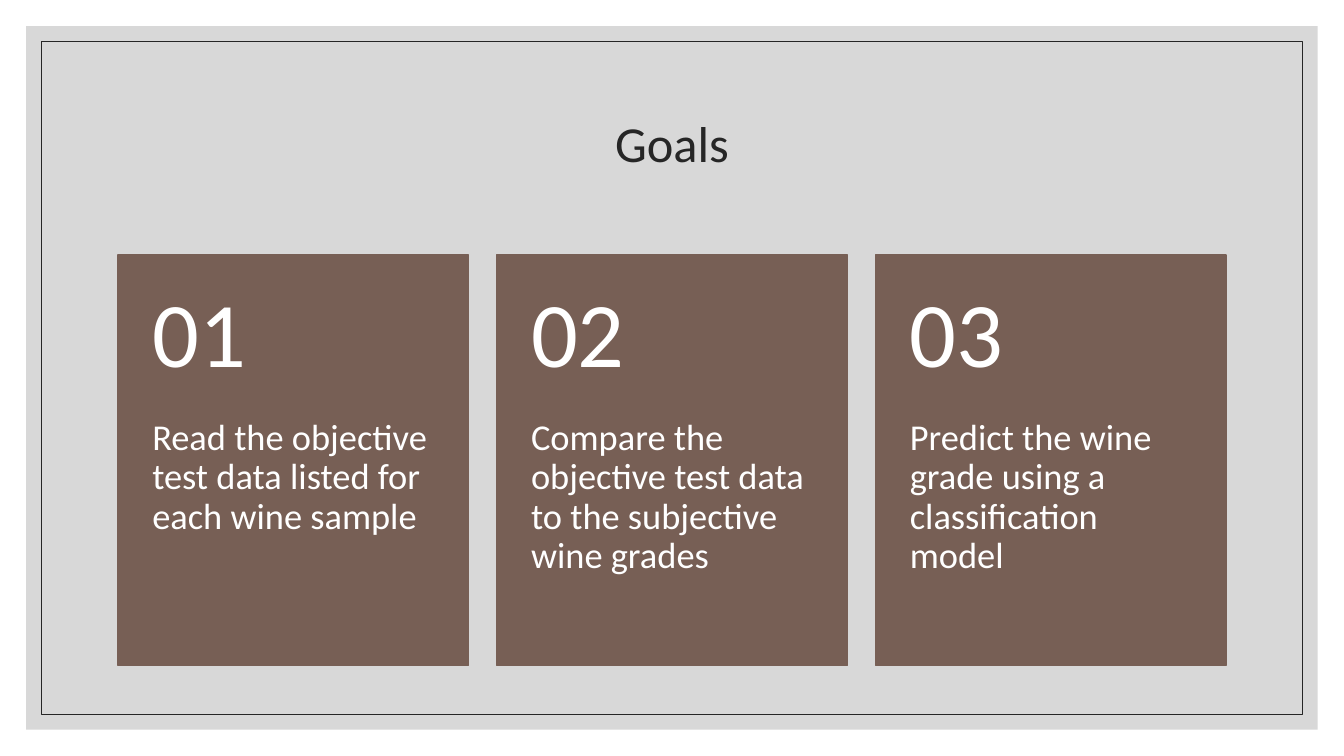
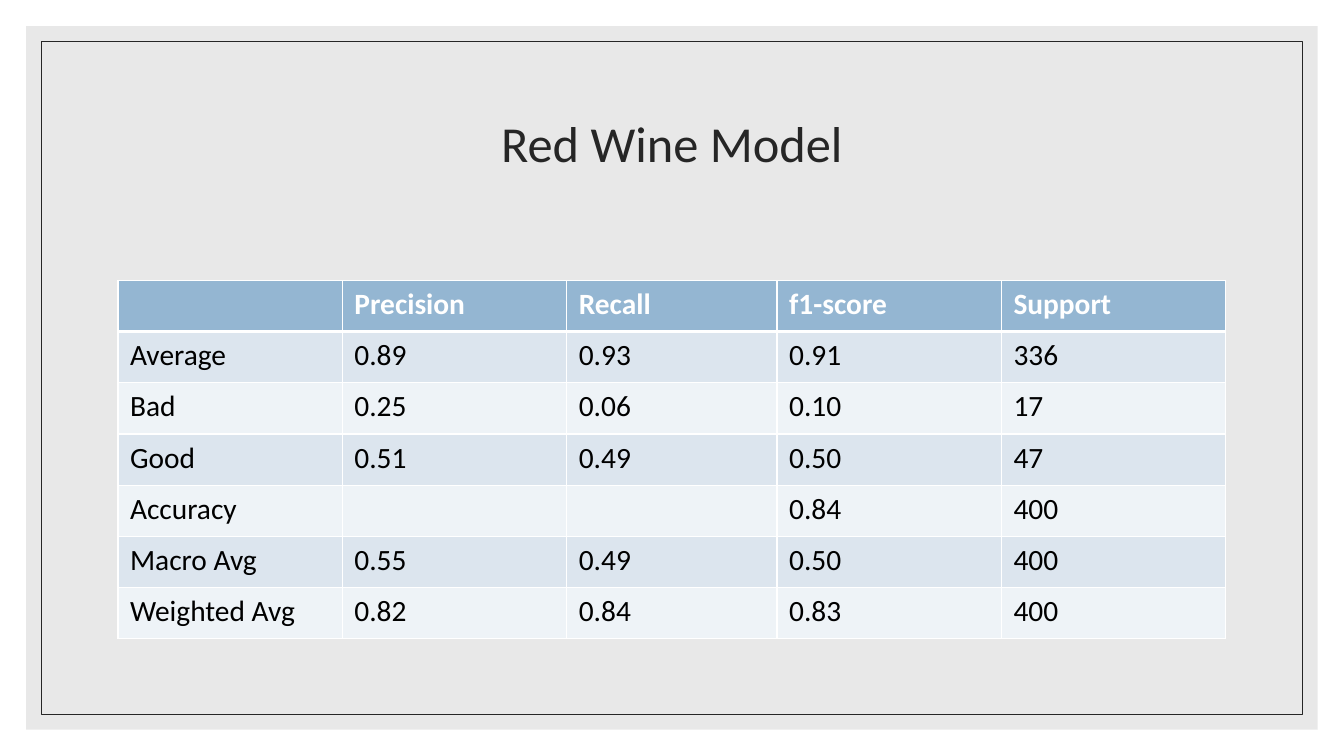
from lxml.etree import SubElement
from pptx import Presentation
from pptx.dml.color import RGBColor
from pptx.enum.shapes import MSO_SHAPE as SHAPE
from pptx.enum.text import MSO_ANCHOR as ANCHOR, PP_ALIGN as ALIGN
from pptx.oxml.ns import qn
from pptx.util import Inches, Pt

W, H = 13.33, 7.5
FONT = "Calibri"
INK, WHITE, BLACK, BROWN = "262626", "FFFFFF", "000000", "775F55"
HEAD, BANDS = "94B6D2", ("DCE5EE", "EEF3F7")
MARGIN, GAP = 1.17, 0.28
CONTENT_W = W - 2 * MARGIN

GOALS = [
    "Read the objective test data listed for each wine sample",
    "Compare the objective test data to the subjective wine grades",
    "Predict the wine grade using a classification model",
]
SCORES = [
    ("", "Precision", "Recall", "f1-score", "Support"),
    ("Average", "0.89", "0.93", "0.91", "336"),
    ("Bad", "0.25", "0.06", "0.10", "17"),
    ("Good", "0.51", "0.49", "0.50", "47"),
    ("Accuracy", "", "", "0.84", "400"),
    ("Macro Avg", "0.55", "0.49", "0.50", "400"),
    ("Weighted Avg", "0.82", "0.84", "0.83", "400"),
]
COL_WEIGHTS = (2.23, 2.23, 2.09, 2.23, 2.23)


def rgb(value):
    return RGBColor.from_string(value)


def inches(*values):
    return [Inches(v) for v in values]


def set_insets(target, insets):
    (target.margin_left, target.margin_top,
     target.margin_right, target.margin_bottom) = inches(*insets)


def style_text(p, size, color, bold=False):
    p.font.size = Pt(size)
    for r in p.runs:
        r.font.name, r.font.size, r.font.bold = FONT, Pt(size), bold
        r.font.color.rgb = rgb(color)


def add_rect(shapes, box, fill=None, line=None, line_width=1, alpha=None):
    sp = shapes.add_shape(SHAPE.RECTANGLE, *inches(*box))
    sp.shadow.inherit = False
    if fill:
        sp.fill.solid()
        sp.fill.fore_color.rgb = rgb(fill)
    else:
        sp.fill.background()
    if alpha:
        clr = sp.fill._xPr.find(".//" + qn("a:srgbClr"))
        SubElement(clr, qn("a:alpha")).set("val", str(alpha * 1000))
    if line:
        sp.line.color.rgb = rgb(line)
        sp.line.width = Pt(line_width)
    else:
        sp.line.fill.background()


def add_text(shapes, box, text, size, color, insets=(0.1, 0.05, 0.1, 0.05),
             anchor=ANCHOR.MIDDLE, align=ALIGN.LEFT):
    tf = shapes.add_textbox(*inches(*box)).text_frame
    tf.word_wrap = True
    tf.vertical_anchor = anchor
    set_insets(tf, insets)
    tf.text = text
    p = tf.paragraphs[0]
    p.alignment, p.line_spacing = align, 0.9
    style_text(p, size, color)


def add_framed_slide(prs, title, tint):
    s = prs.slides.add_slide(prs.slide_layouts[6])
    for inset, style in (
        (0.26, {"fill": tint, "alpha": 60}),
        (0.41, {"line": INK, "line_width": 0.5}),
    ):
        add_rect(s.shapes, (inset, inset, W - 2 * inset, H - 2 * inset), **style)
    add_text(s.shapes, (MARGIN, 0.7, CONTENT_W, 1.5), title, 36, INK,
             align=ALIGN.CENTER)
    return s


def add_goal_card(s, box, number, goal):
    x, y, w, h = box
    head = h * 0.4
    shapes = s.shapes.add_group_shape().shapes
    add_rect(shapes, box, fill=BROWN, line=BROWN)
    add_text(shapes, (x, y + head, w, h - head), goal, 26, WHITE,
             (0.34, 0, 0.34, 0.36), ANCHOR.TOP)
    add_text(shapes, (x, y, w, head), f"{number:02}", 66, WHITE,
             (0.34, 0.18, 0.34, 0.18))


def add_goal_cards(s, box, goals):
    x, y, w, h = box
    card_w = (w - GAP * (len(goals) - 1)) / len(goals)
    for i, goal in enumerate(goals):
        add_goal_card(s, (x + i * (card_w + GAP), y, card_w, h), i + 1, goal)


def set_borders(cell, widths):
    tc_pr = cell._tc.get_or_add_tcPr()
    for i, (side, width) in enumerate(widths.items()):
        ln = tc_pr.makeelement(qn(f"a:ln{side}"), {"w": str(Pt(width))})
        fill = SubElement(ln, qn("a:solidFill"))
        SubElement(fill, qn("a:srgbClr")).set("val", WHITE)
        tc_pr.insert(i, ln)


def add_score_table(s, box, rows):
    x, y, w, h = box
    table = s.shapes.add_table(len(rows), len(rows[0]), *inches(*box)).table
    for col, weight in zip(table.columns, COL_WEIGHTS):
        col.width = Inches(w * weight / sum(COL_WEIGHTS))
    for i, row in enumerate(rows):
        table.rows[i].height = Inches(h / len(rows))
        is_head = i == 0
        for j, text in enumerate(row):
            cell = table.cell(i, j)
            cell.text = text
            set_insets(cell, (0.12, 0.06, 0.12, 0.06))
            style_text(cell.text_frame.paragraphs[0], 21,
                       WHITE if is_head else BLACK, is_head)
            cell.fill.solid()
            cell.fill.fore_color.rgb = rgb(HEAD if is_head else BANDS[(i - 1) % 2])
            set_borders(cell, {"L": 1, "R": 1, "T": 3 if i == 1 else 1,
                               "B": 3 if is_head else 1})


def main():
    prs = Presentation()
    prs.slide_width, prs.slide_height = inches(W, H)
    s = add_framed_slide(prs, "Goals", "BFBFBF")
    add_goal_cards(s, (MARGIN, 2.53, CONTENT_W, 4.07), GOALS)
    s = add_framed_slide(prs, "Red Wine Model", "D9D9D9")
    add_score_table(s, (MARGIN, 2.78, CONTENT_W, 3.56), SCORES)
    prs.save("out.pptx")


if __name__ == "__main__":
    main()
